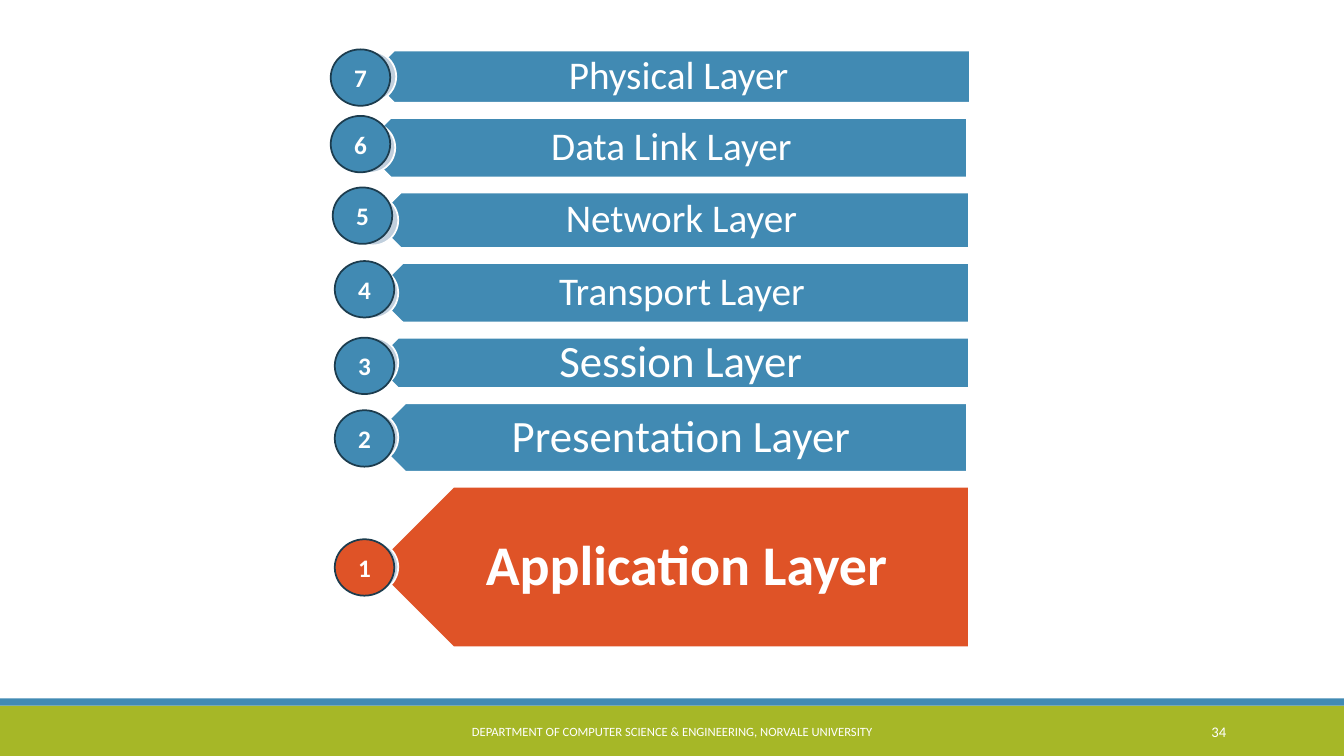
from dataclasses import dataclass

from pptx import Presentation
from pptx import util as u
from pptx.dml.color import RGBColor
from pptx.enum import shapes, text

BLUE, RED, GREEN = "418AB3", "DF5327", "A6B727"
WHITE, PALE, NAVY = "FFFFFF", "C0CFDD", "1C3C4E"
KIND = shapes.MSO_SHAPE
ALIGN = text.PP_ALIGN
TOP, GAP = 0.5, 0.15
DISC = 0.5
Box = tuple[float, float, float, float]


@dataclass
class Layer:
    name: str
    left: float
    width: float
    height: float
    disc: float
    badge: tuple[float, float]
    pads: tuple[float, float, float] = (0.25, 0.18, 0.1)
    size: float = 28
    bold: bool = False
    fill: str = BLUE


LAYERS = [
    Layer("Physical Layer", 3.65, 5.97, 0.52, 3.43, (3.28, 0.49), (0.24, 0.18, 0.1)),
    Layer("Data Link Layer", 3.58, 6.01, 0.59, 3.42, (3.28, 1.15), (0.22, 0.22, 0.12)),
    Layer("Network Layer", 3.7, 5.91, 0.55, 3.45, (3.3, 1.86)),
    Layer("Transport Layer", 3.7, 5.91, 0.59, 3.45, (3.32, 2.59)),
    Layer("Session Layer", 3.7, 5.91, 0.5, 3.45, (3.32, 3.35), size=32),
    Layer("Presentation Layer", 3.68, 5.91, 0.68, 3.45, (3.32, 4.07), size=32),
    Layer("Application Layer", 3.7, 5.91, 1.59, 3.45, (3.32, 5.35),
          (0.22, 0.31, 0.17), 40, True, RED),
]


def color(code: str) -> RGBColor:
    return RGBColor.from_string(code)


def shape(slide, kind, box: Box, fill: str, line: str | None = None):
    item = slide.shapes.add_shape(kind, *map(u.Inches, box))
    item.shadow.inherit = False
    item.fill.solid()
    item.fill.fore_color.rgb = color(fill)
    if line:
        item.line.color.rgb = color(line)
        item.line.width = u.Pt(1.25)
    else:
        item.line.fill.background()
    return item


def write(item, words: str, size: float, bold: bool = False, align=ALIGN.CENTER,
          pads: tuple[float, float, float] = (0.1, 0.1, 0.05), space: float = 1.0) -> None:
    """Set one line of white text; pads are left, right, and top with bottom."""
    left, right, edge = map(u.Inches, pads)
    frame = item.text_frame
    look = {"word_wrap": True, "vertical_anchor": text.MSO_ANCHOR.MIDDLE,
            "margin_left": left, "margin_right": right,
            "margin_top": edge, "margin_bottom": edge}
    para = frame.paragraphs[0]
    run = para.add_run()
    run.text = words
    face = {"name": "Calibri", "size": u.Pt(size), "bold": bold}
    flow = {"alignment": align, "line_spacing": space}
    for target, values in ((frame, look), (para, flow), (run.font, face)):
        for key, value in values.items():
            setattr(target, key, value)
    run.font.color.rgb = color(WHITE)


def label(slide, box: Box, words: str, size: float, **style) -> None:
    write(slide.shapes.add_textbox(*map(u.Inches, box)), words, size, **style)


def footer(slide) -> None:
    shape(slide, KIND.RECTANGLE, (0, 7, 13.33, 0.5), GREEN)
    shape(slide, KIND.RECTANGLE, (0, 6.93, 13.33, 0.07), BLUE)
    label(slide, (4.03, 7.06, 5.27, 0.4),
          "DEPARTMENT OF COMPUTER SCIENCE & ENGINEERING, NORVALE UNIVERSITY", 9)
    label(slide, (10.83, 7.06, 1.43, 0.4), "34", 10.5, align=ALIGN.RIGHT)


def stack(slide) -> None:
    """Draw the layer bars downwards, each with the pale disc at its tip."""
    top = TOP
    for layer in LAYERS:
        bar = shape(slide, KIND.PENTAGON, (layer.left, top, layer.width, layer.height),
                    layer.fill, WHITE)
        bar.rotation = 180
        tip = layer.height / 4
        label(slide, (layer.left + tip, top, layer.width - tip, layer.height),
              layer.name, layer.size, bold=layer.bold, pads=layer.pads, space=0.9)
        mid = top + layer.height / 2
        shape(slide, KIND.OVAL, (layer.disc, mid - DISC / 2, DISC, DISC), PALE, WHITE)
        top += layer.height + GAP


def badges(slide) -> None:
    for rank, layer in zip(range(len(LAYERS), 0, -1), LAYERS):
        badge = shape(slide, KIND.FLOWCHART_CONNECTOR, (*layer.badge, 0.59, 0.56),
                      layer.fill, NAVY)
        write(badge, str(rank), 18, bold=True)


def main() -> None:
    deck = Presentation()
    deck.slide_width, deck.slide_height = u.Inches(13.33), u.Inches(7.5)
    slide = deck.slides.add_slide(deck.slide_layouts[6])
    footer(slide)
    stack(slide)
    badges(slide)
    deck.save("out.pptx")


if __name__ == "__main__":
    main()
